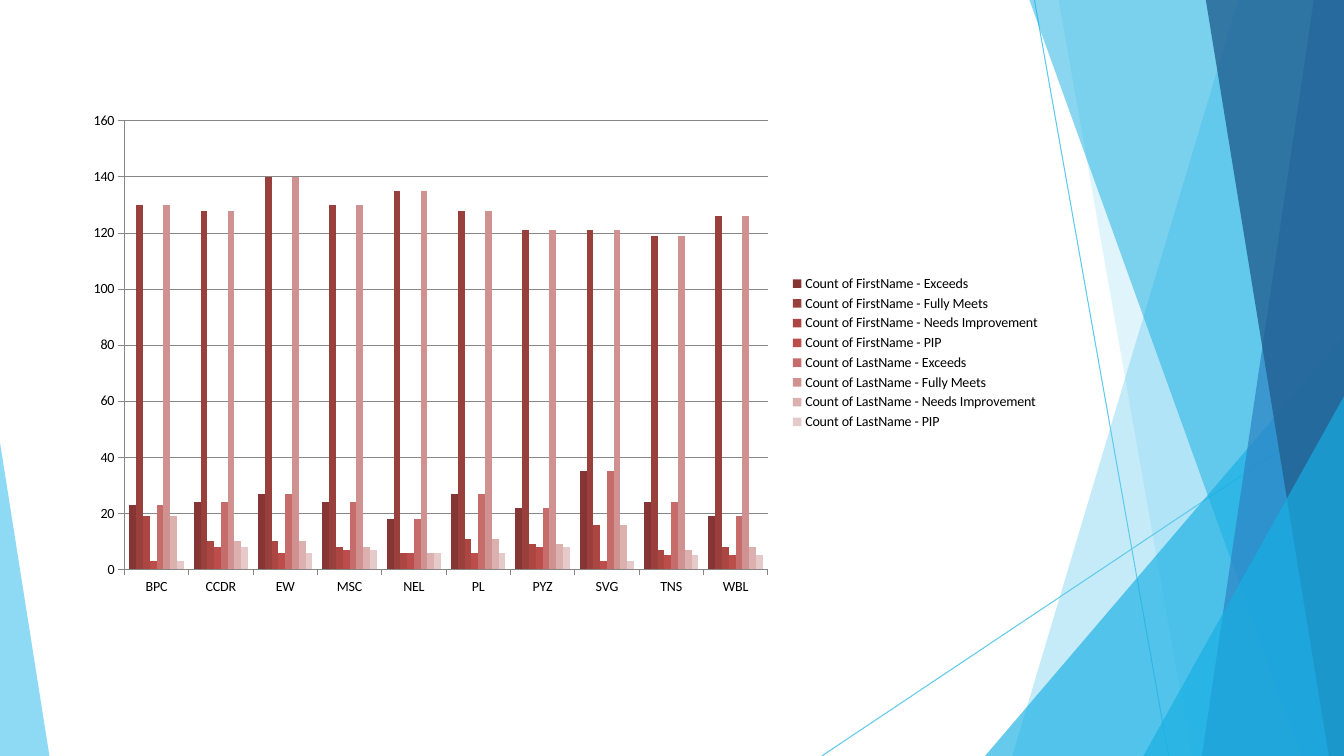
from pptx import Presentation
from pptx.chart.data import CategoryChartData
from pptx.dml.color import RGBColor
from pptx.enum.chart import XL_CHART_TYPE, XL_LEGEND_POSITION, XL_TICK_MARK
from pptx.enum.shapes import MSO_CONNECTOR
from pptx.oxml import parse_xml
from pptx.oxml.ns import nsdecls, qn
from pptx.util import Inches, Pt

CLUSTERED = XL_CHART_TYPE.COLUMN_CLUSTERED
LEGEND_RIGHT = XL_LEGEND_POSITION.RIGHT
TICK_OUT = XL_TICK_MARK.OUTSIDE
TICK_NONE = XL_TICK_MARK.NONE
STRAIGHT = MSO_CONNECTOR.STRAIGHT

SLIDE_W, SLIDE_H = 13.33, 7.5
FONT = "Calibri"
BLACK = RGBColor(0x00, 0x00, 0x00)
GREY = RGBColor(0x86, 0x86, 0x86)
SKY = RGBColor(0x5F, 0xCA, 0xEE)
CYAN = RGBColor(0x17, 0xAF, 0xE3)
BLUE = RGBColor(0x2D, 0x83, 0xC3)
NAVY = RGBColor(0x22, 0x61, 0x92)
REDS = [
    RGBColor(0x85, 0x36, 0x34), RGBColor(0x99, 0x3F, 0x3C),
    RGBColor(0xAB, 0x46, 0x43), RGBColor(0xBB, 0x4E, 0x4B),
    RGBColor(0xC6, 0x6D, 0x6B), RGBColor(0xD0, 0x92, 0x91),
    RGBColor(0xDB, 0xB0, 0xAF), RGBColor(0xE5, 0xCA, 0xC9),
]

TEAMS = ["BPC", "CCDR", "EW", "MSC", "NEL", "PL", "PYZ", "SVG", "TNS", "WBL"]
RATINGS = {
    "Exceeds": [23, 24, 27, 24, 18, 27, 22, 35, 24, 19],
    "Fully Meets": [130, 128, 140, 130, 135, 128, 121, 121, 119, 126],
    "Needs Improvement": [19, 10, 10, 8, 6, 11, 9, 16, 7, 8],
    "PIP": [3, 8, 6, 7, 6, 6, 8, 3, 5, 5],
}


def add_facet(s, points, color, alpha):
    """Draw a translucent polygon through points given in inches."""
    pts = [(Inches(x), Inches(y)) for x, y in points]
    builder = s.shapes.build_freeform(*pts[0])
    builder.add_line_segments(pts[1:], close=True)
    sp = builder.convert_to_shape()
    sp.shadow.inherit = False
    sp.line.fill.background()
    sp.fill.solid()
    sp.fill.fore_color.rgb = color
    clr = sp.element.spPr.find(qn("a:solidFill"))[0]
    clr.append(parse_xml(f'<a:alpha {nsdecls("a")} val="{alpha * 1000}"/>'))


def add_thin_line(s, x1, y1, x2, y2):
    """Draw a hairline between two points given in inches."""
    line = s.shapes.add_connector(STRAIGHT, *map(Inches, (x1, y1, x2, y2)))
    line.line.color.rgb = SKY
    line.line.width = Pt(0.75)
    line.element.spPr.append(parse_xml(f'<a:effectLst {nsdecls("a")}/>'))


def add_backdrop(s, x, y, w, h):
    """Draw the faceted decoration along the sides of the box."""
    right, bottom = x + w, y + h
    add_thin_line(s, right - 3.07, y, right - 1.74, bottom)
    add_thin_line(s, right, y + 4.04, right - 5.18, bottom)

    def band(top, foot, color, alpha):
        add_facet(s, [(right, y), (right - top, y), (right - foot, bottom),
                      (right, bottom)], color, alpha)

    def wedge(rise, foot, color, alpha):
        add_facet(s, [(right, bottom - rise), (right - foot, bottom),
                      (right, bottom)], color, alpha)

    band(1.05, 3.29, SKY, 36)
    band(2.83, 1.51, SKY, 20)
    wedge(4.17, 3.56, CYAN, 66)
    band(3.12, 0.42, CYAN, 50)
    band(0.3, 1.41, BLUE, 70)
    band(1.37, 0.15, NAVY, 80)
    wedge(3.57, 1.99, CYAN, 66)
    add_facet(s, [(x, bottom - 3.11), (x, bottom), (x + 0.49, bottom)], SKY, 70)


def set_plot_layout(chart, **fractions):
    """Fix the inner plot area as fractions of the chart."""
    plot_area = chart.element.xpath("c:chart/c:plotArea")[0]
    for old in plot_area.findall(qn("c:layout")):
        plot_area.remove(old)
    modes = "".join(f'<c:{k}Mode val="edge"/>' for k in "xy")
    sizes = "".join(f'<c:{k} val="{v}"/>' for k, v in fractions.items())
    plot_area.insert(0, parse_xml(
        f'<c:layout {nsdecls("c")}><c:manualLayout>'
        f'<c:layoutTarget val="inner"/>{modes}{sizes}'
        '</c:manualLayout></c:layout>'))


def add_ratings_chart(s, x, y, w, h):
    """Draw the clustered rating counts per team in the box."""
    data = CategoryChartData()
    data.categories = TEAMS
    for field in ("FirstName", "LastName"):
        for rating, counts in RATINGS.items():
            data.add_series(f"Count of {field} - {rating}", counts)
    chart = s.shapes.add_chart(CLUSTERED, *map(Inches, (x, y, w, h)), data).chart
    chart.has_title = False
    chart.font.name = FONT
    chart.font.size = Pt(10)
    chart.font.color.rgb = BLACK
    chart.has_legend = True
    chart.legend.position = LEGEND_RIGHT
    chart.legend.include_in_layout = False

    plot = chart.plots[0]
    plot.vary_by_categories = False
    plot.gap_width = 150
    plot.overlap = 0
    for series, color in zip(plot.series, REDS):
        series.invert_if_negative = False
        series.format.fill.solid()
        series.format.fill.fore_color.rgb = color

    for axis in (chart.category_axis, chart.value_axis):
        axis.major_tick_mark = TICK_OUT
        axis.minor_tick_mark = TICK_NONE
        axis.format.line.color.rgb = GREY
    axis = chart.value_axis
    axis.minimum_scale, axis.maximum_scale, axis.major_unit = 0, 160, 20
    axis.has_major_gridlines = True
    axis.major_gridlines.format.line.color.rgb = GREY
    set_plot_layout(chart, x=0.05, y=0.04, w=0.66, h=0.89)


def main():
    """Build the slide and save it."""
    prs = Presentation()
    prs.slide_width, prs.slide_height = Inches(SLIDE_W), Inches(SLIDE_H)
    s = prs.slides.add_slide(prs.slide_layouts[6])
    add_backdrop(s, 0, 0, SLIDE_W, SLIDE_H)
    add_ratings_chart(s, 0.75, 1, 9.67, 5)
    prs.save("out.pptx")


if __name__ == "__main__":
    main()
